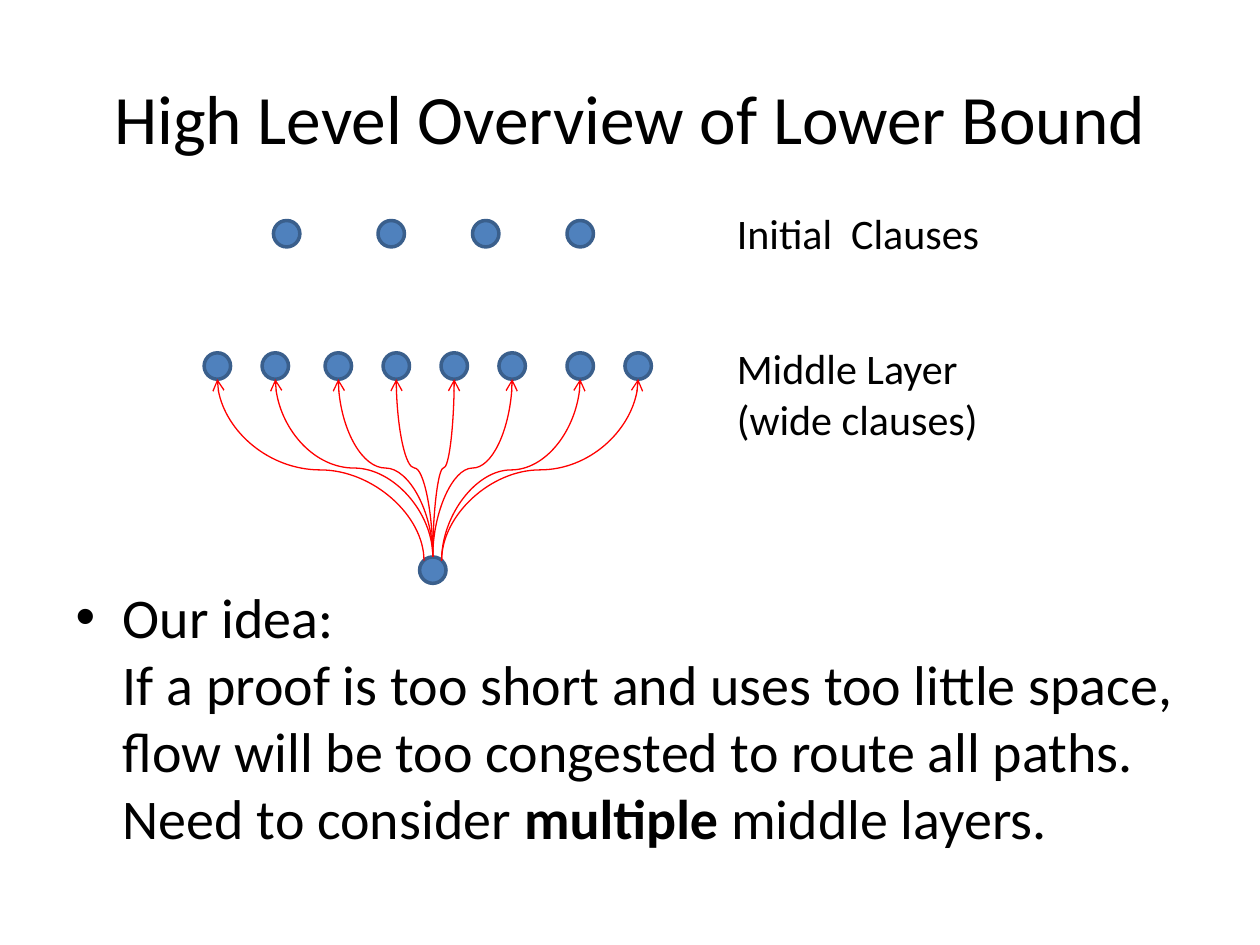
from pptx import Presentation
from pptx.dml.color import RGBColor
from pptx.enum.shapes import MSO_CONNECTOR, MSO_SHAPE
from pptx.enum.text import MSO_ANCHOR, MSO_AUTO_SIZE, PP_ALIGN
from pptx.oxml.ns import qn
from pptx.util import Inches, Pt
from lxml.etree import SubElement

BLACK = RGBColor(0x00, 0x00, 0x00)
BLUE = RGBColor(0x4F, 0x81, 0xBD)
DARK_BLUE = RGBColor(0x3A, 0x5F, 0x8C)
RED = RGBColor(0xFF, 0x00, 0x00)

NODE = 0.21
INITIAL_Y, MIDDLE_Y = 0.15, 1.2
INITIAL_X = (0.55, 1.38, 2.13, 2.88)
MIDDLE_X = (0, 0.46, 0.96, 1.42, 1.88, 2.34, 2.88, 3.34)
START_SIDES = (-1, 0, 0, 0, 0, 0, 1, 1)
SOURCE = (1.71, 2.82)
LABELS = (("Initial  Clauses", 0, 0.5), ("Middle Layer (wide clauses)", 1.07, 0.91))


def set_attrs(obj, **values):
    """Set each named value on the object."""
    for name, value in values.items():
        setattr(obj, name, value)


def set_font(font, size, **values):
    """Format a font in the slide's typeface and text colour."""
    set_attrs(font, name="Calibri", size=Pt(size), **values)
    font.color.rgb = BLACK


def place(sp, left, top, width, height):
    """Move a shape to a box given in inches."""
    set_attrs(sp, left=Inches(left), top=Inches(top),
              width=Inches(width), height=Inches(height))


def add_title(slide, box):
    """Fill the title placeholder."""
    sp = slide.shapes.title
    place(sp, *box)
    tf = sp.text_frame
    tf.text = "High Level Overview of Lower Bound"
    set_attrs(tf, auto_size=MSO_AUTO_SIZE.NONE, vertical_anchor=MSO_ANCHOR.MIDDLE)
    p = tf.paragraphs[0]
    p.alignment = PP_ALIGN.CENTER
    set_font(p.runs[0].font, 39.6)


def add_idea(slide, box):
    """Fill the body placeholder with the main idea."""
    sp = slide.placeholders[1]
    place(sp, *box)
    tf = sp.text_frame
    set_attrs(tf, auto_size=MSO_AUTO_SIZE.NONE, word_wrap=True)
    p = tf.paragraphs[0]
    p.text = ("Our idea:\vIf a proof is too short and uses too little space,\v"
              "flow will be too congested to route all paths.\vNeed to consider ")
    p.space_before = Pt(0)
    for text in ("multiple", " middle layers."):
        p.add_run().text = text
    for r in p.runs:
        set_font(r.font, 32, bold=r.text == "multiple")


def add_node(slide, left, top):
    """Draw one clause node."""
    sp = slide.shapes.add_shape(MSO_SHAPE.OVAL, *map(Inches, (left, top, NODE, NODE)))
    sp.shadow.inherit = False
    sp.fill.solid()
    sp.fill.fore_color.rgb = BLUE
    sp.line.color.rgb = DARK_BLUE
    sp.line.width = Pt(2)


def add_path(slide, x1, y1, x2, y2):
    """Draw a curved arrow that leaves and arrives vertically."""
    mid_x, mid_y = (x1 + x2) / 2, (y1 + y2) / 2
    half_w, half_h = (y1 - y2) / 2, abs(x2 - x1) / 2
    side = 1 if x2 > x1 else -1
    ends = (mid_x + side * half_w, mid_y + half_h, mid_x - side * half_w, mid_y - half_h)
    line = slide.shapes.add_connector(MSO_CONNECTOR.CURVE, *map(Inches, ends))
    line.line.color.rgb = RED
    line.line.width = Pt(0.75)
    props = line._element.spPr
    props.find(qn("a:xfrm")).set("rot", str((90 if side > 0 else 270) * 60000))
    SubElement(props.find(qn("a:ln")), qn("a:tailEnd"), type="arrow")
    SubElement(props, qn("a:effectLst"))


def add_label(slide, text, box):
    """Write the name of a layer."""
    sp = slide.shapes.add_textbox(*map(Inches, box))
    tf = sp.text_frame
    tf.text = text
    set_attrs(tf, word_wrap=True, auto_size=MSO_AUTO_SIZE.SHAPE_TO_FIT_TEXT)
    set_font(tf.paragraphs[0].runs[0].font, 24)


def add_diagram(slide, left, top):
    """Draw the clause layers, their labels and the paths from the source node."""
    nodes = [SOURCE]
    nodes += [(x, INITIAL_Y) for x in INITIAL_X]
    nodes += [(x, MIDDLE_Y) for x in MIDDLE_X]
    for x, y in nodes:
        add_node(slide, left + x, top + y)
    for text, y, height in LABELS:
        add_label(slide, text, (left + 4.13, top + y, 2.17, height))
    centre = left + NODE / 2
    for x, side in zip(MIDDLE_X, START_SIDES):
        add_path(slide, centre + SOURCE[0] + 0.07 * side,
                 top + SOURCE[1] + 0.03 * abs(side),
                 centre + x, top + MIDDLE_Y + NODE)


def main():
    """Build and save the slide."""
    prs = Presentation()
    set_attrs(prs, slide_width=Inches(10), slide_height=Inches(7.5))
    slide = prs.slides.add_slide(prs.slide_layouts[1])
    add_title(slide, (0.5, 0.3, 9, 1.25))
    add_idea(slide, (0.5, 4.57, 9, 2.93))
    add_diagram(slide, 1.62, 1.6)
    prs.save("out.pptx")


if __name__ == "__main__":
    main()
